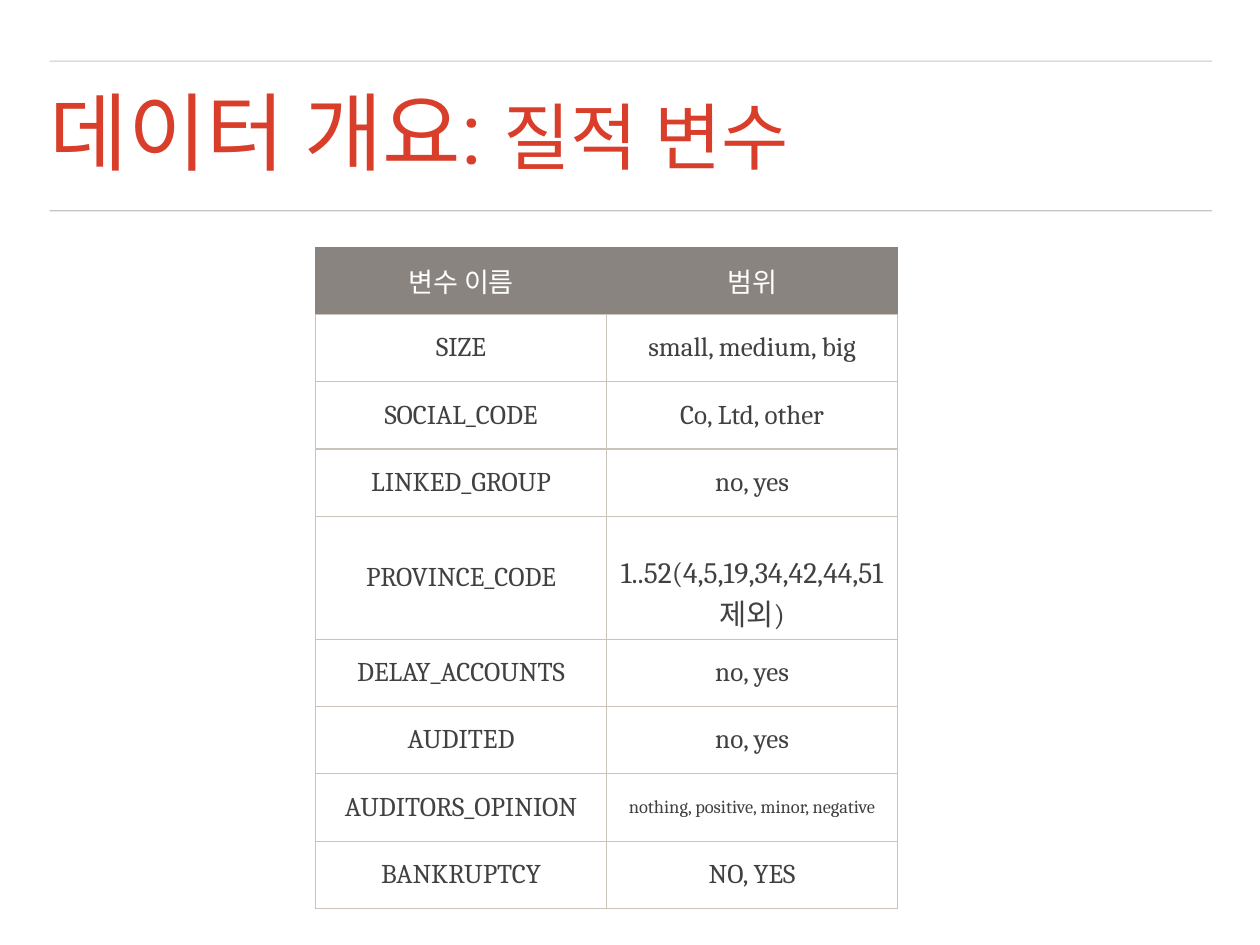
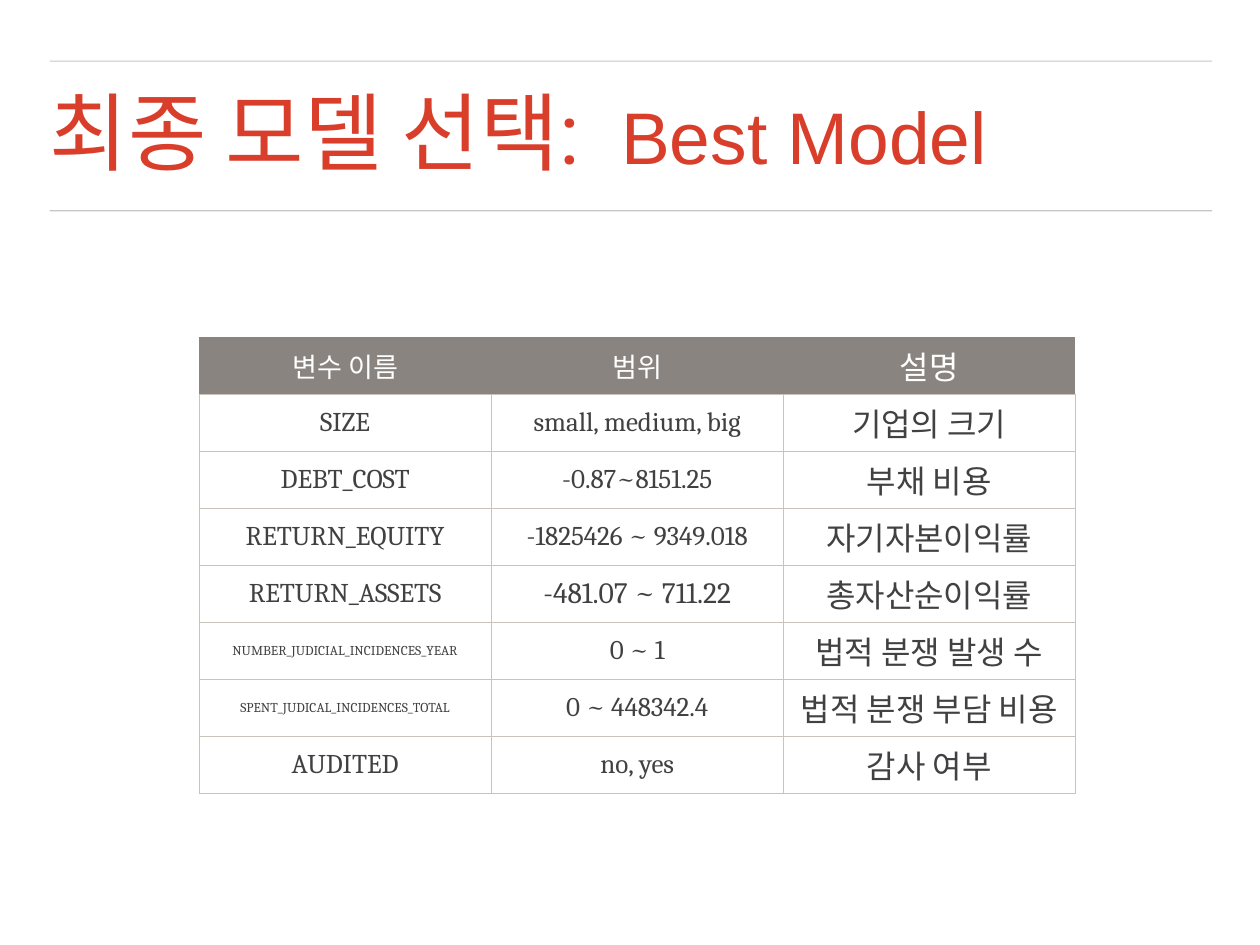
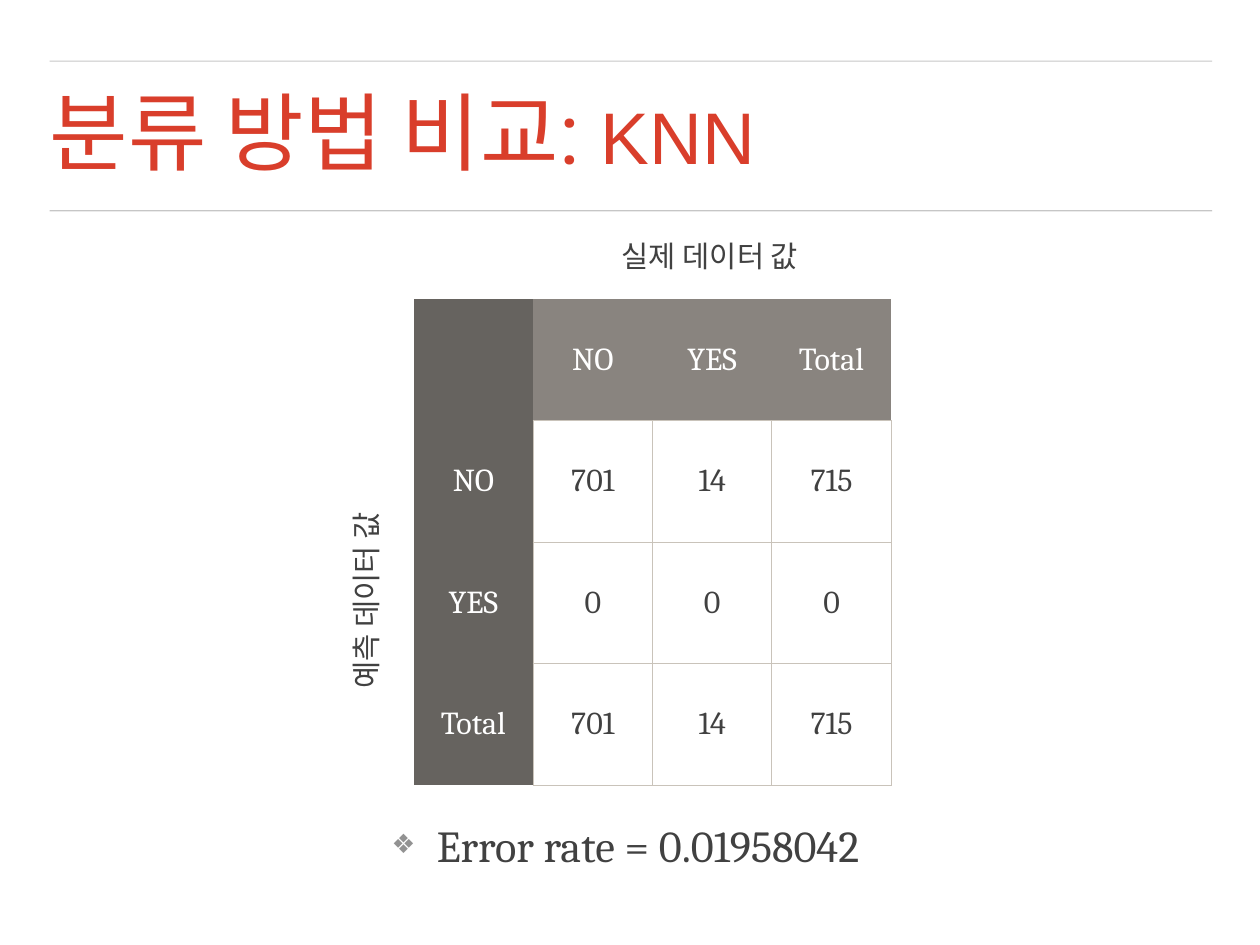
from dataclasses import dataclass

from lxml import etree
from pptx import Presentation
from pptx.dml.color import RGBColor
from pptx.enum.shapes import MSO_CONNECTOR
from pptx.enum.text import MSO_ANCHOR, MSO_AUTO_SIZE, PP_ALIGN
from pptx.oxml.ns import qn
from pptx.util import Inches, Pt

LEFT, CENTER = PP_ALIGN.LEFT, PP_ALIGN.CENTER
MIDDLE = MSO_ANCHOR.MIDDLE
NO_FIT = MSO_AUTO_SIZE.NONE
STRAIGHT = MSO_CONNECTOR.STRAIGHT
PLAIN_TABLE = "{2D5ABB26-0587-4C30-8999-92F81FD0307C}"
SLIDE_W, SLIDE_H = Inches(14.22), Inches(10.67)
CONTENT_LAYOUT, TITLE_LAYOUT = 1, 5


@dataclass(frozen=True)
class Theme:
    accent: str = "D93E2B"
    ink: str = "414141"
    white: str = "FFFFFF"
    header: str = "89847F"
    side: str = "66635F"
    border: str = "C9C3BA"
    rule: str = "444444"
    bullet: str = "929292"
    title_font: str = "Roboto"
    subtitle_font: str = "Arial"
    body_font: str = "Cambria"
    title: float = 69.3
    subtitle: float = 59.4
    body: float = 36
    large: float = 26
    label: float = 24
    cell: float = 22
    small: float = 15
    tiny: float = 11
    inset: float = 0.06


T = Theme()


@dataclass(frozen=True)
class Box:
    """A region in percent of the slide's width and height."""
    x: float
    y: float
    w: float
    h: float

    def emu(self):
        return (int(SLIDE_W * self.x / 100), int(SLIDE_H * self.y / 100),
                int(SLIDE_W * self.w / 100), int(SLIDE_H * self.h / 100))

    def centered(self, fx, fy, w, h):
        """A w by h box whose centre lies at a share of this box."""
        return Box(self.x + fx * self.w - w / 2, self.y + fy * self.h - h / 2, w, h)


TITLE_BOX = Box(3.94, 8.25, 92.2, 12.46)
RULES = [Box(3.94, y, 92.26, 0) for y in (6.47, 22.31)]


def sub(parent, tag, **attrs):
    return etree.SubElement(parent, qn(tag), attrs)


def place(shape, box):
    shape.left, shape.top, shape.width, shape.height = box.emu()


def add_run(p, text, size, color=T.ink, font=T.body_font):
    r = p.add_run()
    r.text = text
    r.font.size, r.font.name = Pt(size), font
    r.font.color.rgb = RGBColor.from_string(color)
    return r


def setup_frame(tf, inset=0, wrap=True):
    tf.auto_size, tf.word_wrap, tf.vertical_anchor = NO_FIT, wrap, MIDDLE
    tf.margin_left = tf.margin_right = Inches(inset)
    tf.margin_top = tf.margin_bottom = Inches(inset)
    return tf.paragraphs[0]


# Shared title band: two rules around the title
def add_rules(s):
    for box in RULES:
        x, y, w, _ = box.emu()
        line = s.shapes.add_connector(STRAIGHT, x, y, x + w, y)
        line.line.width = Pt(1)
        line.line.color.rgb = RGBColor.from_string(T.rule)
        sp_pr = line.element.spPr
        sub(next(sp_pr.iter(qn("a:srgbClr"))), "a:alpha", val="30000")
        sub(sp_pr, "a:effectLst")


def new_slide(prs, layout, topic, detail, extra_gap=0):
    s = prs.slides.add_slide(prs.slide_layouts[layout])
    add_rules(s)
    place(s.shapes.title, TITLE_BOX)
    p = setup_frame(s.shapes.title.text_frame)
    p.alignment, p.line_spacing, p.space_before = LEFT, 0.9, Pt(0)
    add_run(p, topic + ":", T.title, T.accent, T.title_font)
    space = add_run(p, " ", T.title, T.accent, T.title_font)
    if extra_gap:
        space.font._element.set("spc", str(int(extra_gap * 100)))
    add_run(p, detail, T.subtitle, T.accent, T.subtitle_font)
    return s


# Tables
def set_borders(cell):
    tc_pr = cell._tc.get_or_add_tcPr()
    for i, side in enumerate(("a:lnL", "a:lnR", "a:lnT", "a:lnB")):
        ln = etree.Element(qn(side), w=str(Pt(1)))
        sub(sub(ln, "a:solidFill"), "a:srgbClr", val=T.border)
        tc_pr.insert(i, ln)


def fill_cell(cell, text, size, fill=None):
    cell.vertical_anchor = MIDDLE
    cell.margin_left = cell.margin_right = Inches(T.inset)
    cell.margin_top = cell.margin_bottom = Inches(T.inset)
    if fill:
        cell.fill.solid()
        cell.fill.fore_color.rgb = RGBColor.from_string(fill)
    else:
        cell.fill.background()
        set_borders(cell)
    if text:
        p = cell.text_frame.paragraphs[0]
        p.alignment = CENTER
        add_run(p, text, size, T.white if fill else T.ink)


def add_grid(s, box, rows, sizes, weights=None, side_header=False):
    """Equal columns; rows share the height by weight; a cell is text or (text, size)."""
    weights = weights or [1] * len(rows)
    table = s.shapes.add_table(len(rows), len(sizes), *box.emu()).table
    table.first_row = table.horz_banding = False
    table._tbl.tblPr.find(qn("a:tableStyleId")).text = PLAIN_TABLE
    _, _, w, h = box.emu()
    for col in table.columns:
        col.width = w // len(sizes)
    for i, row in enumerate(rows):
        table.rows[i].height = int(h * weights[i] / sum(weights))
        for j, value in enumerate(row):
            text, size = value if isinstance(value, tuple) else (value, sizes[j])
            fill = T.side if side_header and j == 0 else T.header if i == 0 else None
            fill_cell(table.cell(i, j), text, size, fill)
    return table


# Confusion matrix with its two axis labels
def add_label(s, box, text, rotation=0):
    tb = s.shapes.add_textbox(*box.emu())
    tb.rotation = rotation
    p = setup_frame(tb.text_frame, T.inset, wrap=not rotation)
    p.alignment = CENTER
    add_run(p, text, T.label)


def add_confusion_matrix(s, box, rows):
    add_grid(s, box, rows, [T.large] * len(rows[0]), side_header=True)
    add_label(s, box.centered(0.62, -0.09, 24.4, 5.34), "실제 데이터 값")
    add_label(s, box.centered(-0.1, 0.62, 16.1, 5.34), "예측 데이터 값", 270)


def add_bullet(shape, box, text):
    place(shape, box)
    p = setup_frame(shape.text_frame)
    p_pr = p._p.get_or_add_pPr()
    indent = Inches(0.51)
    p_pr.set("marL", str(indent))
    p_pr.set("indent", str(-indent))
    sub(sub(p_pr, "a:buClr"), "a:srgbClr", val=T.bullet)
    sub(p_pr, "a:buSzPct", val="60000")
    sub(p_pr, "a:buChar", char="❖")
    p.space_before = Pt(0)
    add_run(p, text, T.body)


# Slides
def qualitative_slide(prs):
    s = new_slide(prs, TITLE_LAYOUT, "데이터 개요", "질적 변수")
    rows = [
        ("변수 이름", "범위"),
        ("SIZE", "small, medium, big"),
        ("SOCIAL_CODE", "Co, Ltd, other"),
        ("LINKED_GROUP", "no, yes"),
        ("PROVINCE_CODE", ("1..52(4,5,19,34,42,44,51 제외)", T.label)),
        ("DELAY_ACCOUNTS", "no, yes"),
        ("AUDITED", "no, yes"),
        ("AUDITORS_OPINION", ("nothing, positive, minor, negative", T.small)),
        ("BANKRUPTCY", "NO, YES"),
    ]
    tall = 4
    weights = [1.8 if i == tall else 1 for i in range(len(rows))]
    table = add_grid(s, Box(25.04, 26.15, 46.2, 69.8), rows, (T.cell, T.cell), weights)
    table.cell(tall, 1).margin_top = Inches(0.46)


def best_model_slide(prs):
    s = new_slide(prs, TITLE_LAYOUT, "최종 모델 선택", "Best Model", extra_gap=16.5)
    rows = [
        ("변수 이름", "범위", "설명"),
        ("SIZE", "small, medium, big", "기업의 크기"),
        ("DEBT_COST", "-0.87~8151.25", "부채 비용"),
        ("RETURN_EQUITY", "-1825426 ~ 9349.018", "자기자본이익률"),
        ("RETURN_ASSETS", ("-481.07 ~ 711.22", T.label), "총자산순이익률"),
        (("NUMBER_JUDICIAL_INCIDENCES_YEAR", T.tiny), "0 ~ 1", "법적 분쟁 발생 수"),
        (("SPENT_JUDICAL_INCIDENCES_TOTAL", T.tiny), "0 ~ 448342.4", "법적 분쟁 부담 비용"),
        ("AUDITED", "no, yes", "감사 여부"),
    ]
    add_grid(s, Box(15.8, 35.7, 69.55, 47.5), rows, (T.cell, T.cell, T.large))


def knn_slide(prs):
    s = new_slide(prs, CONTENT_LAYOUT, "분류 방법 비교", "KNN")
    add_bullet(s.placeholders[1], Box(31.08, 83.88, 44.37, 10.97),
               "Error rate = 0.01958042")
    rows = [
        ("", "NO", "YES", "Total"),
        ("NO", "701", "14", "715"),
        ("YES", "0", "0", "0"),
        ("Total", "701", "14", "715"),
    ]
    add_confusion_matrix(s, Box(32.84, 31.68, 37.9, 51.4), rows)


def main():
    prs = Presentation()
    prs.slide_width, prs.slide_height = SLIDE_W, SLIDE_H
    qualitative_slide(prs)
    best_model_slide(prs)
    knn_slide(prs)
    prs.save("out.pptx")


if __name__ == "__main__":
    main()
